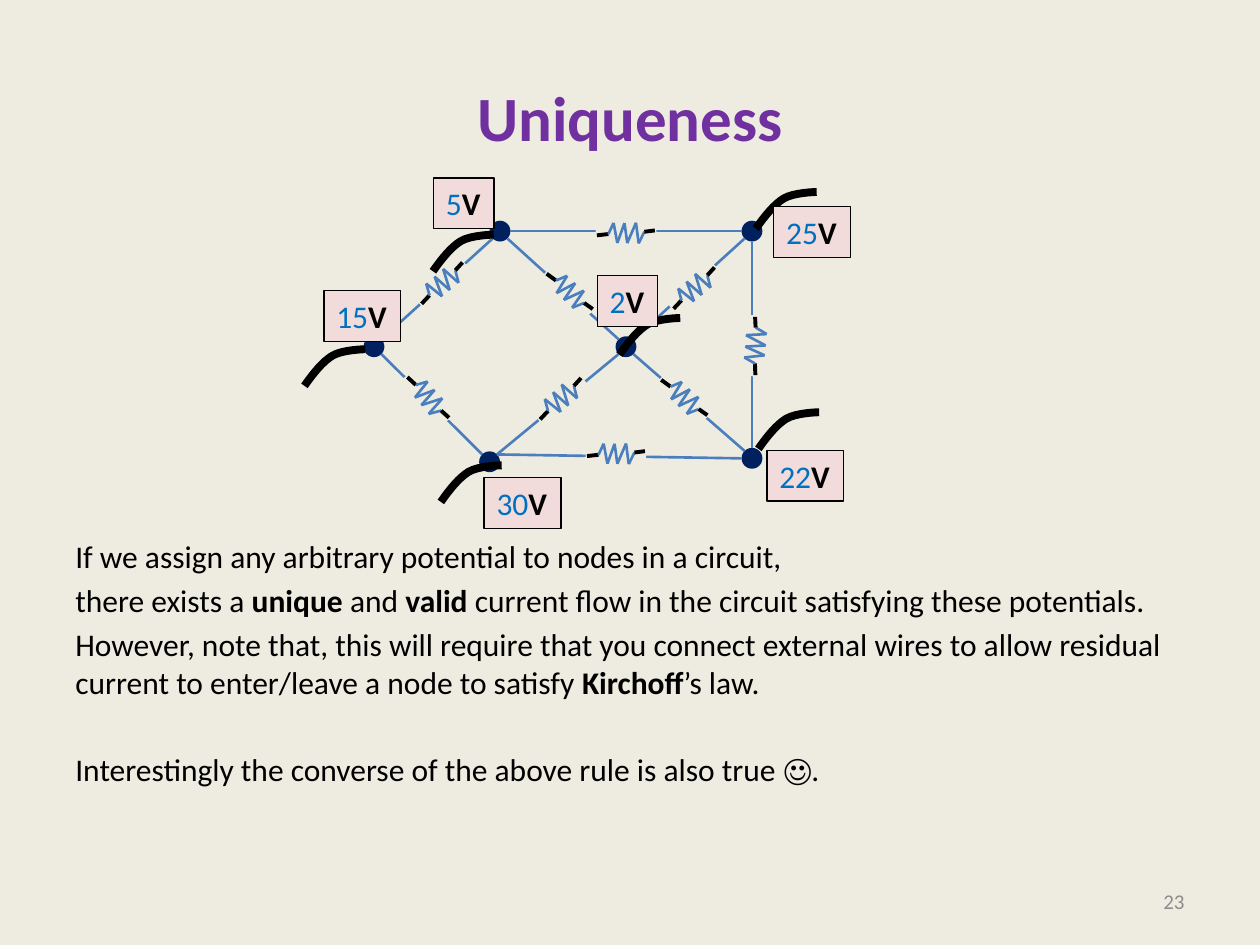
from math import cos, radians, sin

from lxml import etree
from pptx import Presentation
from pptx.dml.color import RGBColor
from pptx.enum.shapes import MSO_CONNECTOR, MSO_SHAPE
from pptx.enum.text import MSO_ANCHOR, MSO_AUTO_SIZE, PP_ALIGN
from pptx.oxml.ns import qn
from pptx.util import Cm, Pt

PAPER, BLACK, WIRE, NAVY = "EEECE1", "000000", "4B7EBC", "002060"
NODE_R = 0.21

# Positions in cm, relative to the circuit's box
NODES = {
    "left": (1.54, 3.49), "bottom left": (3.87, 5.81),
    "top left": (4.08, 1.16), "top right": (9.16, 1.16),
    "bottom right": (9.16, 5.74), "centre": (6.62, 3.49),
}
# Two nodes, and the angle at which the edge leaves each of them
EDGES = [
    ("left", "bottom left", 45, 225),
    ("left", "top left", -45, 135),
    ("centre", "top left", 225, 45),
    ("centre", "top right", -45, 135),
    ("bottom left", "bottom right", -45, 180),
    ("bottom left", "centre", -45, 135),
    ("bottom right", "centre", 225, 45),
    ("top right", "top left", 180, 0),
    ("bottom right", "top right", -90, 90),
]
# Centre and rotation
RESISTORS = [
    (9.19, 3.47, -81.9), (7.97, 2.28, -37), (2.89, 2.18, -37),
    (5.28, 4.51, -37), (6.42, 5.61, 3.5), (7.82, 4.49, 45.7),
    (5.51, 2.35, 45.7), (2.66, 4.49, 52.6), (6.62, 1.16, 3.5),
]
ZIGZAG = [
    (-0.58, 0.12), (-0.35, 0.08), (-0.26, -0.15), (-0.16, 0.25), (-0.04, -0.16),
    (0.04, 0.24), (0.19, -0.18), (0.27, 0.23), (0.37, -0.01), (0.58, -0.05),
]
EXTERNAL_WIRES = [
    (9.42, 4.65), (2.86, 1.07), (0.27, 3.38),
    (9.37, 0.21), (6.62, 2.75), (3.02, 5.72),
]
# Start point, then two control points and an end point for each curve
WIRE_CURVE = [
    (0, 1.06), (0.1, 0.76), (0.21, 0.49), (0.36, 0.32),
    (0.52, 0.14), (0.96, 0), (0.96, 0),
]
POTENTIALS = [
    ("5", 2.74, 0.09), ("2", 6.04, 2.06), ("30", 3.76, 6.13),
    ("15", 0.53, 2.36), ("25", 9.6, 0.67), ("22", 9.46, 5.58),
]
# Space before in points, then (text, bold) runs
BODY = [
    (0, [("If we assign any arbitrary potential to nodes in a circuit,", False)]),
    (3.5, [("there exists a ", False), ("unique ", True), ("and ", False),
           ("valid", True),
           (" current flow in the circuit satisfying these potentials.", False)]),
    (3.5, [("However, note that, this will require that you connect external wires "
            "to allow residual current to enter/leave a node to satisfy ", False),
           ("Kirchoff", True), ("’s law.", False)]),
    (28.5, [("Interestingly the converse of the above rule is also true ☺.", False)]),
]


def rgb(value):
    return RGBColor.from_string(value)


def add_run(p, text, size, color, bold=False):
    r = p.add_run()
    r.text = text
    r.font.name = "Calibri"
    r.font.size = Pt(size)
    r.font.bold = bold
    r.font.color.rgb = rgb(color)


def add_text(s, x, y, w, h, anchor=MSO_ANCHOR.TOP):
    sp = s.shapes.add_textbox(Cm(x), Cm(y), Cm(w), Cm(h))
    tf = sp.text_frame
    tf.word_wrap = True
    tf.vertical_anchor = anchor
    return tf


def add_line(shapes, start, end, color, width):
    cx = shapes.add_connector(MSO_CONNECTOR.STRAIGHT, Cm(start[0]), Cm(start[1]),
                              Cm(end[0]), Cm(end[1]))
    cx.line.color.rgb = rgb(color)
    cx.line.width = Pt(width)
    etree.SubElement(cx._element.spPr, qn("a:effectLst"))


def add_filled(shapes, kind, x, y, w, h, color):
    sp = shapes.add_shape(kind, Cm(x), Cm(y), Cm(w), Cm(h))
    sp.shadow.inherit = False
    sp.fill.solid()
    sp.fill.fore_color.rgb = rgb(color)
    sp.line.fill.background()
    return sp


def resistor(s, x, y, angle):
    shapes = s.shapes.add_group_shape().shapes
    # Patch that interrupts the edge
    patch = add_filled(shapes, MSO_SHAPE.RECTANGLE, x - 0.61, y - 0.4, 1.22, 0.8, PAPER)
    patch.rotation = angle
    c, d = cos(radians(angle)), sin(radians(angle))
    points = [(x + u * c - v * d, y + u * d + v * c) for u, v in ZIGZAG]
    last = len(points) - 2
    for i, (start, end) in enumerate(zip(points, points[1:])):
        lead = i in (0, last)
        add_line(shapes, start, end, BLACK if lead else WIRE, 2.25 if lead else 1.5)


def external_wire(shapes, x, y):
    points = [(Cm(x + u), Cm(y + v)) for u, v in WIRE_CURVE]
    fb = shapes.build_freeform(*points[0])
    fb.add_line_segments(points[1:], close=False)
    sp = fb.convert_to_shape()
    # Turn each three segments into one cubic curve
    segments = list(sp._element.iter(qn("a:lnTo")))
    for i in range(0, len(segments), 3):
        curve = etree.Element(qn("a:cubicBezTo"))
        segments[i].addprevious(curve)
        for segment in segments[i:i + 3]:
            curve.append(segment[0])
            segment.getparent().remove(segment)
    sp.rotation = 16.8
    sp.shadow.inherit = False
    sp.fill.background()
    sp.line.color.rgb = rgb(BLACK)
    sp.line.width = Pt(4.5)


def potential_label(s, x, y, value):
    w = 1.22 if len(value) == 1 else 1.55
    sp = add_filled(s.shapes, MSO_SHAPE.RECTANGLE, x, y, w, 1.02, "F2DCDB")
    sp.line.color.rgb = rgb(BLACK)
    sp.line.width = Pt(0.75)
    tf = sp.text_frame
    tf.word_wrap = False
    tf.auto_size = MSO_AUTO_SIZE.SHAPE_TO_FIT_TEXT
    tf.vertical_anchor = MSO_ANCHOR.TOP
    p = tf.paragraphs[0]
    p.alignment = PP_ALIGN.LEFT
    add_run(p, value, 18, "0070C0")
    add_run(p, "V", 18, BLACK, True)


def circuit(s, x, y):
    def rim(node, angle):
        nx, ny = NODES[node]
        a = radians(angle)
        return x + nx + NODE_R * cos(a), y + ny + NODE_R * sin(a)

    for nx, ny in NODES.values():
        add_filled(s.shapes, MSO_SHAPE.OVAL, x + nx - NODE_R, y + ny - NODE_R,
                   2 * NODE_R, 2 * NODE_R, NAVY)
    for a, b, angle_a, angle_b in EDGES:
        add_line(s.shapes, rim(a, angle_a), rim(b, angle_b), WIRE, 1.5)
    for rx, ry, angle in RESISTORS:
        resistor(s, x + rx, y + ry, angle)
    wires = s.shapes.add_group_shape().shapes
    for wx, wy in EXTERNAL_WIRES:
        external_wire(wires, x + wx, y + wy)
    for value, lx, ly in POTENTIALS:
        potential_label(s, x + lx, y + ly, value)


def title(s, x, y, w, h):
    p = add_text(s, x, y, w, h, MSO_ANCHOR.MIDDLE).paragraphs[0]
    p.alignment = PP_ALIGN.CENTER
    add_run(p, "Uniqueness", 36, "7030A0", True)


def body(s, x, y, w, h):
    tf = add_text(s, x, y, w, h)
    tf.margin_top = Cm(6.38)  # room for the circuit
    for i, (space, runs) in enumerate(BODY):
        p = tf.add_paragraph() if i else tf.paragraphs[0]
        p.space_before = Pt(space)
        for text, bold in runs:
            add_run(p, text, 18, BLACK, bold)


def page_number(s, x, y, w, h):
    p = add_text(s, x, y, w, h, MSO_ANCHOR.MIDDLE).paragraphs[0]
    p.alignment = PP_ALIGN.RIGHT
    add_run(p, "23", 12, "8C8C8C")


def main():
    prs = Presentation()
    prs.slide_width, prs.slide_height = Cm(25.4), Cm(19.05)
    s = prs.slides.add_slide(prs.slide_layouts[6])
    s.background.fill.solid()
    s.background.fill.fore_color.rgb = rgb(PAPER)
    title(s, 1.27, 0.76, 22.86, 3.18)
    body(s, 1.27, 4.45, 22.86, 12.57)
    page_number(s, 18.2, 17.66, 5.93, 1.01)
    circuit(s, 6, 3.5)
    prs.save("out.pptx")


if __name__ == "__main__":
    main()
